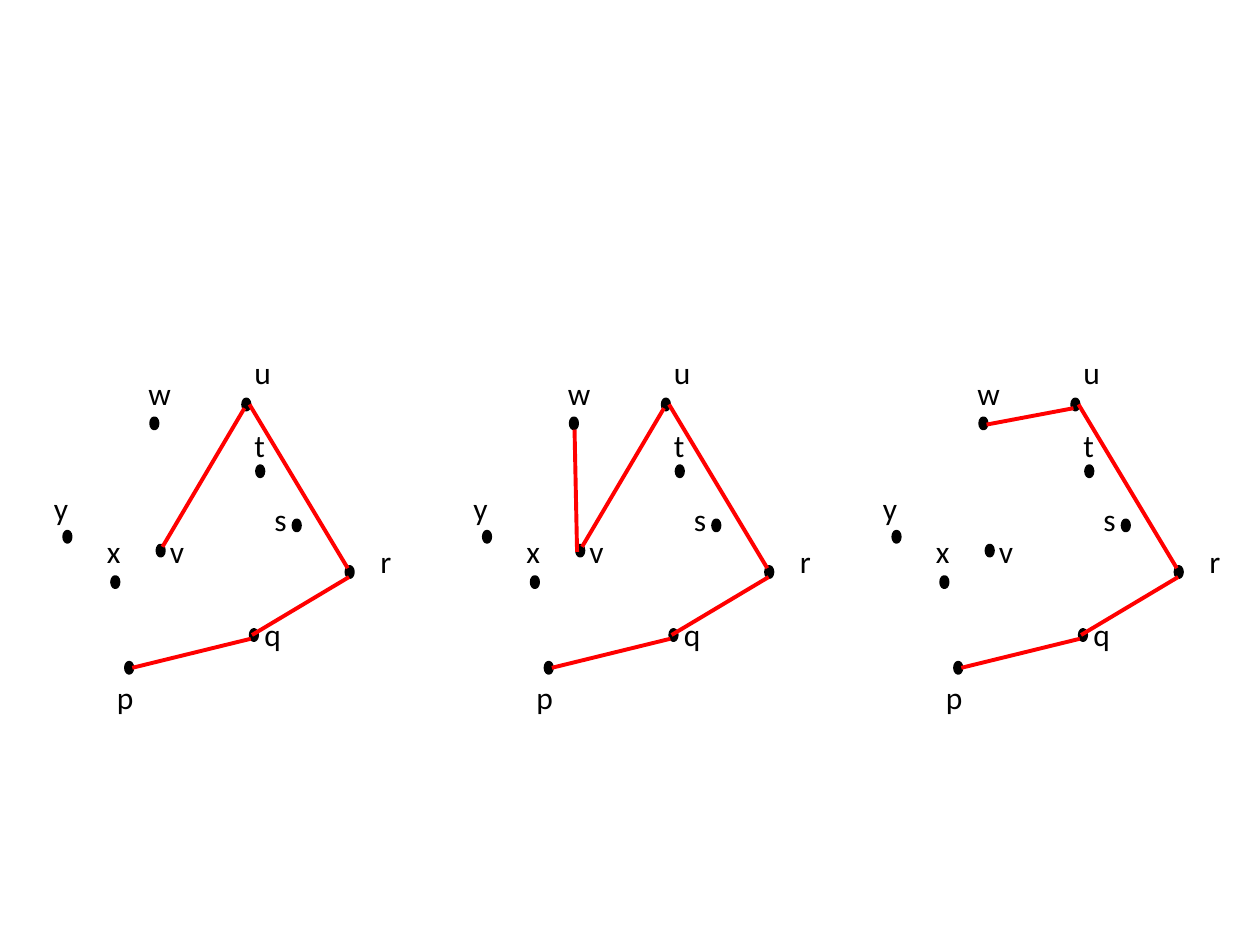
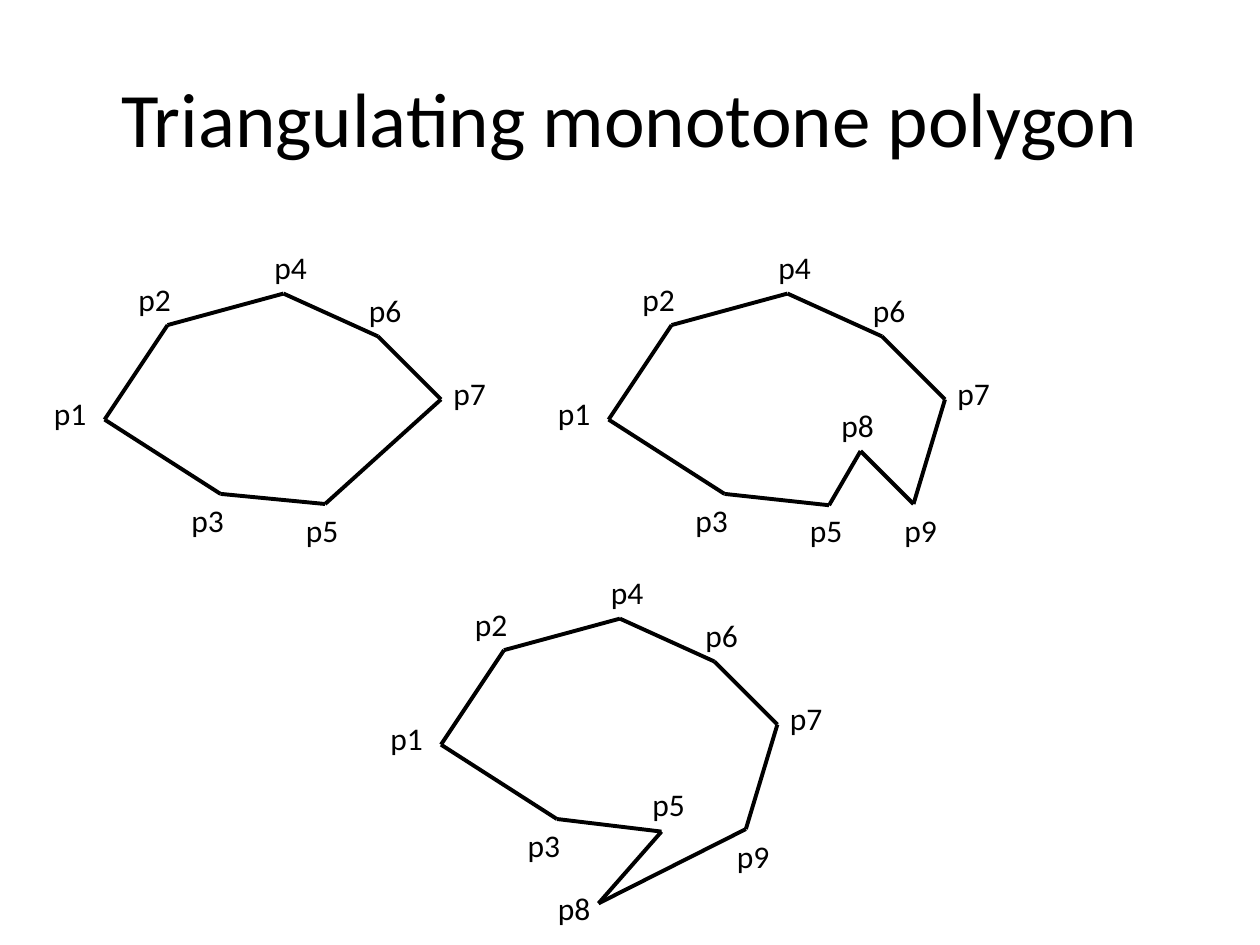
from itertools import pairwise

from pptx import Presentation
from pptx.dml.color import RGBColor
from pptx.enum.shapes import MSO_CONNECTOR, MSO_SHAPE
from pptx.enum.text import MSO_ANCHOR, MSO_AUTO_SIZE, PP_ALIGN
from pptx.oxml.ns import qn
from pptx.util import Pt
from lxml import etree

PX = 9144  # 100 px to the inch
BLACK = RGBColor(0x00, 0x00, 0x00)
RED = RGBColor(0xFF, 0x00, 0x00)
LINE_WIDTH = Pt(2.25)
LABEL = {"name": "Calibri", "size": Pt(18)}
TITLE = {"name": "Calibri", "size": Pt(44)}


def add_text(page, text, left, top, width, height, style):
    box = page.shapes.add_textbox(left * PX, top * PX, width * PX, height * PX)
    box.text_frame.word_wrap = True
    para = box.text_frame.paragraphs[0]
    span = para.add_run()
    span.text = text
    span.font.color.rgb = BLACK
    for key, value in style.items():
        setattr(span.font, key, value)
    return box.text_frame


def add_line(page, start, end, shift, color):
    (x1, y1), (x2, y2), (dx, dy) = start, end, shift
    line = page.shapes.add_connector(
        MSO_CONNECTOR.STRAIGHT,
        (x1 + dx) * PX, (y1 + dy) * PX, (x2 + dx) * PX, (y2 + dy) * PX)
    line.line.color.rgb = color
    line.line.width = LINE_WIDTH
    properties = line._element.find(qn("p:spPr"))
    etree.SubElement(properties, qn("a:effectLst"))


deck = Presentation()
deck.slide_width = 1000 * PX
deck.slide_height = 750 * PX
blank = deck.slide_layouts[6]

# Slide 1: three steps of a convex hull scan
page = deck.slides.add_slide(blank)
DOT_WIDTH, DOT_HEIGHT = 5, 8

# Each point: top left of its dot, top left of its label
points = {
    "p": ((100, 526), (83, 533)),
    "q": ((199, 500), (200, 483)),
    "r": ((275, 450), (292, 425)),
    "s": ((233, 413), (208, 392)),
    "t": ((204, 370), (192, 333)),
    "u": ((193, 317), (192, 275)),
    "v": ((125, 433), (125, 417)),
    "w": ((120, 332), (108, 292)),
    "x": ((89, 458), (75, 417)),
    "y": ((51, 422), (33, 383)),
}
hull = [((105, 530), (199, 507)), ((200, 504), (277, 458)), ((276, 451), (198, 321))]
u_to_v = ((194, 324), (129, 434))
v_to_w = ((125, 438), (123, 341))
u_to_w = ((194, 324), (125, 337))
steps = [(0, [u_to_v]), (333, [u_to_v, v_to_w]), (658, [u_to_w])]

for dx, extra_edges in steps:
    for name, ((dot_x, dot_y), (label_x, label_y)) in points.items():
        dot = page.shapes.add_shape(
            MSO_SHAPE.OVAL, (dot_x + dx) * PX, dot_y * PX, DOT_WIDTH * PX, DOT_HEIGHT * PX)
        dot.shadow.inherit = False
        dot.fill.solid()
        dot.fill.fore_color.rgb = BLACK
        dot.line.color.rgb = BLACK
        dot.line.width = LINE_WIDTH
        frame = add_text(page, name, label_x + dx, label_y, 50, 42, LABEL)
        frame.auto_size = MSO_AUTO_SIZE.SHAPE_TO_FIT_TEXT
    for start, end in hull + extra_edges:
        add_line(page, start, end, (dx, 0), RED)

# Slide 2: three monotone polygons
page = deck.slides.add_slide(blank)
frame = add_text(page, "Triangulating monotone polygon", 50, 30, 900, 125, TITLE)
frame.vertical_anchor = MSO_ANCHOR.MIDDLE
frame.paragraphs[0].alignment = PP_ALIGN.CENTER

# Each vertex: its place, then the offset of its label
upper_chain = {
    "p1": ((83, 333), (-50, -25)),
    "p2": ((133, 258), (-33, -41)),
    "p4": ((225, 233), (-17, -41)),
    "p6": ((300, 267), (-17, -41)),
    "p7": ((350, 317), (0, -25)),
}
p3 = ((175, 392), (-33, 1))
p9 = ((325, 400), (-17, 1))
polygons = [
    ((0, 0), {"p5": ((258, 400), (-25, 1)), "p3": p3}),
    ((400, 0), {"p9": p9, "p8": ((283, 358), (-25, -41)),
                "p5": ((258, 401), (-25, 0)), "p3": p3}),
    ((267, 258), {"p9": p9, "p8": ((208, 459), (-42, -16)),
                  "p5": ((258, 402), (-17, -42)), "p3": p3}),
]

for shift, lower_chain in polygons:
    vertices = upper_chain | lower_chain
    corners = [place for place, offset in vertices.values()]
    for start, end in pairwise(corners + corners[:1]):
        add_line(page, start, end, shift, BLACK)
    for name, (place, offset) in vertices.items():
        left, top = map(sum, zip(place, offset, shift))
        frame = add_text(page, name, left, top, 50, 40, LABEL)
        frame.auto_size = MSO_AUTO_SIZE.SHAPE_TO_FIT_TEXT

deck.save("out.pptx")
